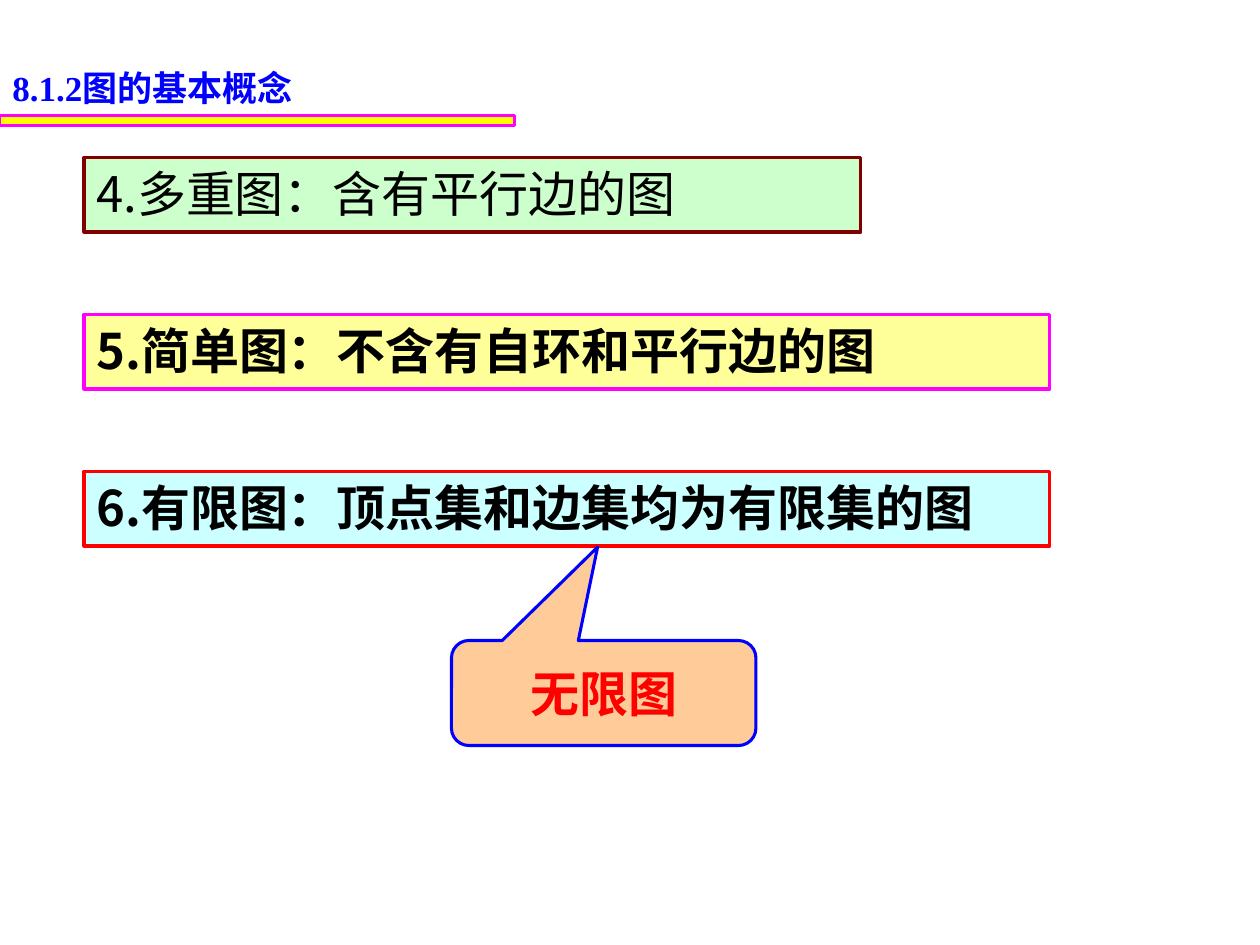
from dataclasses import dataclass

from lxml import etree
from pptx import Presentation
from pptx.dml.color import RGBColor
from pptx.enum.lang import MSO_LANGUAGE_ID
from pptx.enum.shapes import MSO_SHAPE
from pptx.enum.text import MSO_ANCHOR, MSO_AUTO_SIZE, PP_ALIGN
from pptx.oxml.ns import qn
from pptx.util import Inches, Pt

RECT = MSO_SHAPE.RECTANGLE
BUBBLE = MSO_SHAPE.ROUNDED_RECTANGULAR_CALLOUT
LEFT, CENTER = PP_ALIGN.LEFT, PP_ALIGN.CENTER
TOP, MIDDLE = MSO_ANCHOR.TOP, MSO_ANCHOR.MIDDLE
GROW = MSO_AUTO_SIZE.SHAPE_TO_FIT_TEXT
CHINESE = MSO_LANGUAGE_ID.SIMPLIFIED_CHINESE

BLACK = RGBColor(0x00, 0x00, 0x00)
BLUE = RGBColor(0x00, 0x00, 0xFF)
RED = RGBColor(0xFF, 0x00, 0x00)
PINK = RGBColor(0xFF, 0x00, 0xFF)
MAROON = RGBColor(0x80, 0x00, 0x00)
YELLOW = RGBColor(0xFF, 0xFF, 0x00)
CREAM = RGBColor(0xFF, 0xFF, 0x99)
MINT = RGBColor(0xCC, 0xFF, 0xCC)
AQUA = RGBColor(0xCC, 0xFF, 0xFF)
PEACH = RGBColor(0xFF, 0xCC, 0x99)

SANS, SERIF, HAN = "Arial", "Times New Roman", "Noto Sans CJK JP"

# The slide is a grid of 120 columns and 90 rows
WIDTH, HEIGHT = Inches(10), Inches(7.5)
COL, ROW = WIDTH / 120, HEIGHT / 90


@dataclass
class Box:
    """A place on the grid, in columns and rows."""
    col: float
    row: float
    cols: float
    rows: float

    def place(self) -> tuple[int, int, int, int]:
        return (round(self.col * COL), round(self.row * ROW),
                round(self.cols * COL), round(self.rows * ROW))


@dataclass
class Term:
    text: str
    cols: float
    fill: RGBColor
    line: RGBColor
    bold: bool = True


TERMS = [
    Term("4.多重图：含有平行边的图", 74, MINT, MAROON, bold=False),
    Term("5.简单图：不含有自环和平行边的图", 92, CREAM, PINK),
    Term("6.有限图：顶点集和边集均为有限集的图", 92, AQUA, RED),
]
TERM_COL, TERM_ROW, TERM_STEP, TERM_ROWS = 8, 15, 14.95, 7.1


def write(shape, text: str, *, face: str = HAN, size: float = 28,
          color: RGBColor = BLACK, bold: bool = True, align=LEFT,
          anchor=TOP, grow: bool = False, wrap: bool = True) -> None:
    """Add a run to the first paragraph and format its frame."""
    frame = shape.text_frame
    frame.word_wrap = wrap
    frame.vertical_anchor = anchor
    if grow:
        frame.auto_size = GROW
    para = frame.paragraphs[0]
    para.alignment = align
    run = para.add_run()
    run.text = text
    font = run.font
    font.name, font.size, font.bold = face, Pt(size), bold
    font.color.rgb = color
    font.language_id = CHINESE
    asian = etree.SubElement(run._r.get_or_add_rPr(), qn("a:ea"))
    asian.set("typeface", HAN)


def draw(slide, kind, box: Box, fill: RGBColor, line: RGBColor):
    """Draw a filled shape with an outline."""
    shape = slide.shapes.add_shape(kind, *box.place())
    shape.shadow.inherit = False
    shape.fill.solid()
    shape.fill.fore_color.rgb = fill
    shape.line.color.rgb = line
    shape.line.width = Pt(1.75)
    return shape


def main() -> None:
    deck = Presentation()
    deck.slide_width, deck.slide_height = WIDTH, HEIGHT
    slide = deck.slides.add_slide(deck.slide_layouts[6])

    # Heading over its rule
    draw(slide, RECT, Box(0, 11, 49, 1), YELLOW, PINK)
    head = slide.shapes.add_textbox(*Box(0, 5.75, 42.25, 5.2).place())
    for text, face in (("8.1.2", SERIF), ("图的基本概念", SANS)):
        write(head, text, face=face, size=20, color=BLUE, grow=True)

    # Definitions, evenly stepped
    for i, term in enumerate(TERMS):
        box = Box(TERM_COL, TERM_ROW + i * TERM_STEP, term.cols, TERM_ROWS)
        bar = draw(slide, RECT, box, term.fill, term.line)
        write(bar, term.text, bold=term.bold, grow=True)

    # Callout pointing at the last definition
    note = draw(slide, BUBBLE, Box(43, 61, 29, 10), PEACH, BLUE)
    note.adjustments[0] = -0.02
    note.adjustments[1] = -1.39
    write(note, "无限图", face=SANS, color=RED, align=CENTER, anchor=MIDDLE)

    deck.save("out.pptx")


if __name__ == "__main__":
    main()
